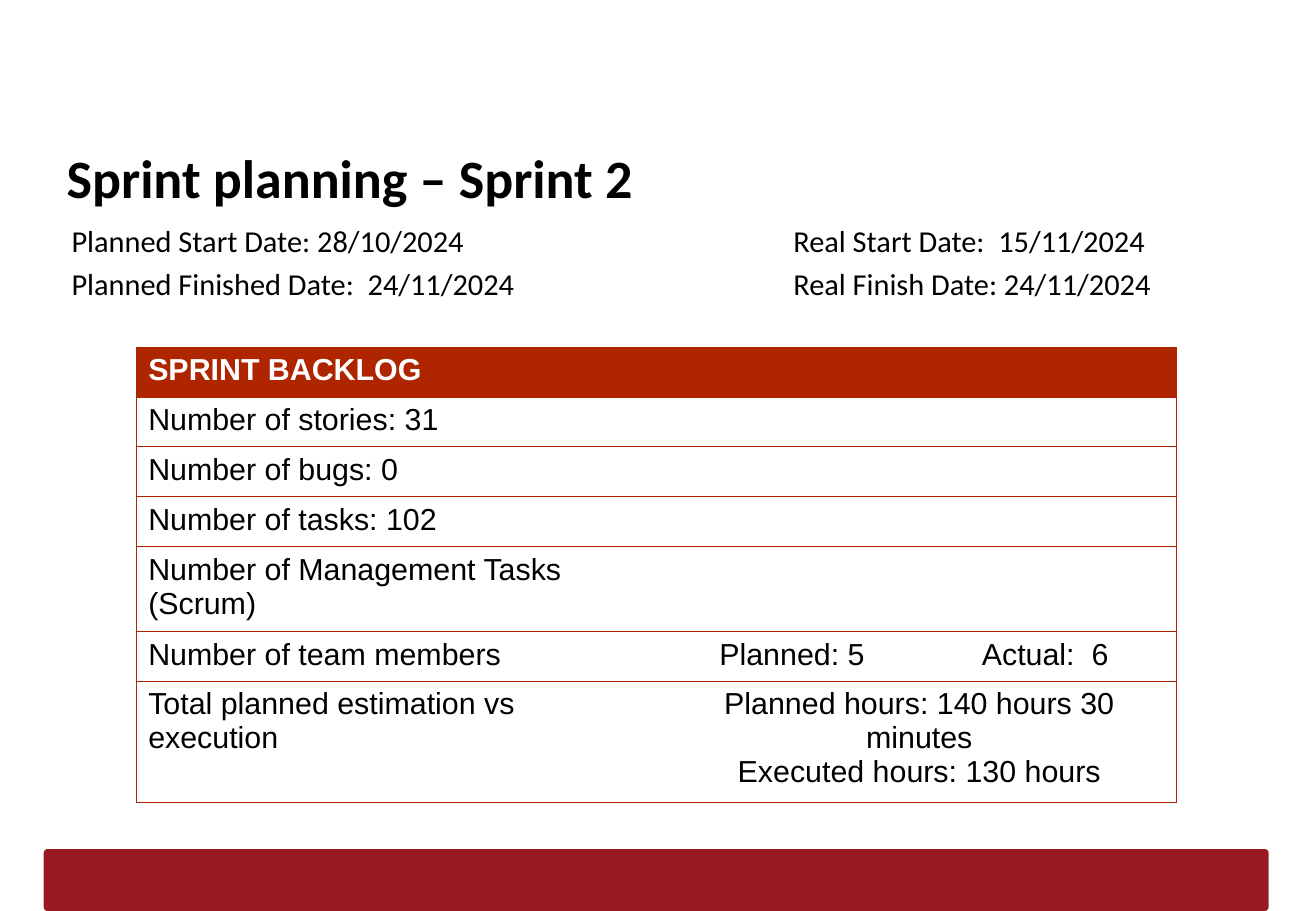
import pptx
import pptx.util
import pptx.dml.color
import pptx.enum.shapes
import pptx.enum.text
import lxml.etree
from dataclasses import dataclass

Inches = pptx.util.Inches
Pt = pptx.util.Pt
RGB = pptx.dml.color.RGBColor.from_string


@dataclass(frozen=True)
class Theme:
    ink: str = "000000"
    paper: str = "FFFFFF"
    rust: str = "AE2500"
    crimson: str = "9A1A24"
    heading_font: str = "Calibri"
    table_font: str = "Arial"
    title_size: int = 32
    body_size: int = 18
    rule_width: float = 0.75


theme = Theme()


def style(paragraph, font, size, color, bold=False):
    paragraph.font.name = font
    paragraph.font.size = Pt(size)
    paragraph.font.color.rgb = RGB(color)
    paragraph.font.bold = bold


def add_tabs(paragraph, stops):
    properties = paragraph._p.get_or_add_pPr()
    tab_list = properties.makeelement(pptx.oxml.ns.qn("a:tabLst"), {})
    for stop in stops:
        lxml.etree.SubElement(tab_list, pptx.oxml.ns.qn("a:tab"), pos=str(Inches(stop)), algn="l")
    default_run = properties.find(pptx.oxml.ns.qn("a:defRPr"))
    default_run.addprevious(tab_list)


presentation = pptx.Presentation()
presentation.slide_width = Inches(10.83)
presentation.slide_height = Inches(7.5)
slide = presentation.slides.add_slide(presentation.slide_layouts[6])

footer_bar = slide.shapes.add_shape(
    pptx.enum.shapes.MSO_SHAPE.ROUNDED_RECTANGLE,
    Inches(0.36), Inches(6.99), Inches(10.08), Inches(0.51))
footer_bar.adjustments[0] = 0.06
footer_bar.shadow.inherit = False
footer_bar.fill.solid()
footer_bar.fill.fore_color.rgb = RGB(theme.crimson)
footer_bar.line.fill.background()

title = slide.shapes.add_textbox(Inches(0.45), Inches(1.09), Inches(9.89), Inches(0.63)).text_frame
title.word_wrap = True
title.margin_top = title.margin_bottom = Inches(0.1)
title.text = "Sprint planning – Sprint 2"
style(title.paragraphs[0], theme.heading_font, theme.title_size, theme.ink, bold=True)

dates = slide.shapes.add_textbox(Inches(0.49), Inches(1.78), Inches(9.89), Inches(0.78)).text_frame
dates.word_wrap = True
dates.text = ("Planned Start Date: 28/10/2024\tReal Start Date:  15/11/2024\n"
              "Planned Finished Date:  24/11/2024\tReal Finish Date: 24/11/2024")
for date_line in dates.paragraphs:
    style(date_line, theme.heading_font, theme.body_size, theme.ink)
    date_line.space_after = Pt(4)
    add_tabs(date_line, [5.94])

backlog_rows = [
    ("SPRINT BACKLOG", ""),
    ("Number of stories: 31", ""),
    ("Number of bugs: 0", ""),
    ("Number of tasks: 102", ""),
    ("Number of Management Tasks (Scrum)", ""),
    ("Number of team members", "\tPlanned: 5\tActual:  6"),
    ("Total planned estimation vs execution",
     "Planned hours: 140 hours 30 minutes\nExecuted hours: 130 hours"),
]
row_height = 0.41
backlog = slide.shapes.add_table(
    len(backlog_rows), 2, Inches(1.12), Inches(2.86),
    Inches(8.56), Inches(row_height * len(backlog_rows))).table
backlog.first_row = False
backlog.horz_banding = False
for column, width in zip(backlog.columns, (4.33, 4.23)):
    column.width = Inches(width)

for row_index, row_texts in enumerate(backlog_rows):
    backlog.rows[row_index].height = Inches(row_height)
    is_header = row_index == 0
    for column_index, text in enumerate(row_texts):
        cell = backlog.cell(row_index, column_index)
        cell.text = text
        inner_side = "R" if column_index == 0 else "L"
        cell_properties = cell._tc.get_or_add_tcPr()
        for side in "LRTB":
            edge = lxml.etree.SubElement(
                cell_properties, pptx.oxml.ns.qn(f"a:ln{side}"), w=str(Pt(theme.rule_width)))
            if side == inner_side:
                lxml.etree.SubElement(edge, pptx.oxml.ns.qn("a:noFill"))
            else:
                edge_fill = lxml.etree.SubElement(edge, pptx.oxml.ns.qn("a:solidFill"))
                lxml.etree.SubElement(edge_fill, pptx.oxml.ns.qn("a:srgbClr"), val=theme.rust)
        cell.fill.solid()
        cell.fill.fore_color.rgb = RGB(theme.rust if is_header else theme.paper)
        for paragraph in cell.text_frame.paragraphs:
            style(paragraph, theme.table_font, theme.body_size,
                  theme.paper if is_header else theme.ink, bold=is_header)
            if "\t" in text:
                add_tabs(paragraph, [0.37, 2.53])
            elif column_index == 1:
                paragraph.alignment = pptx.enum.text.PP_ALIGN.CENTER

presentation.save("out.pptx")
